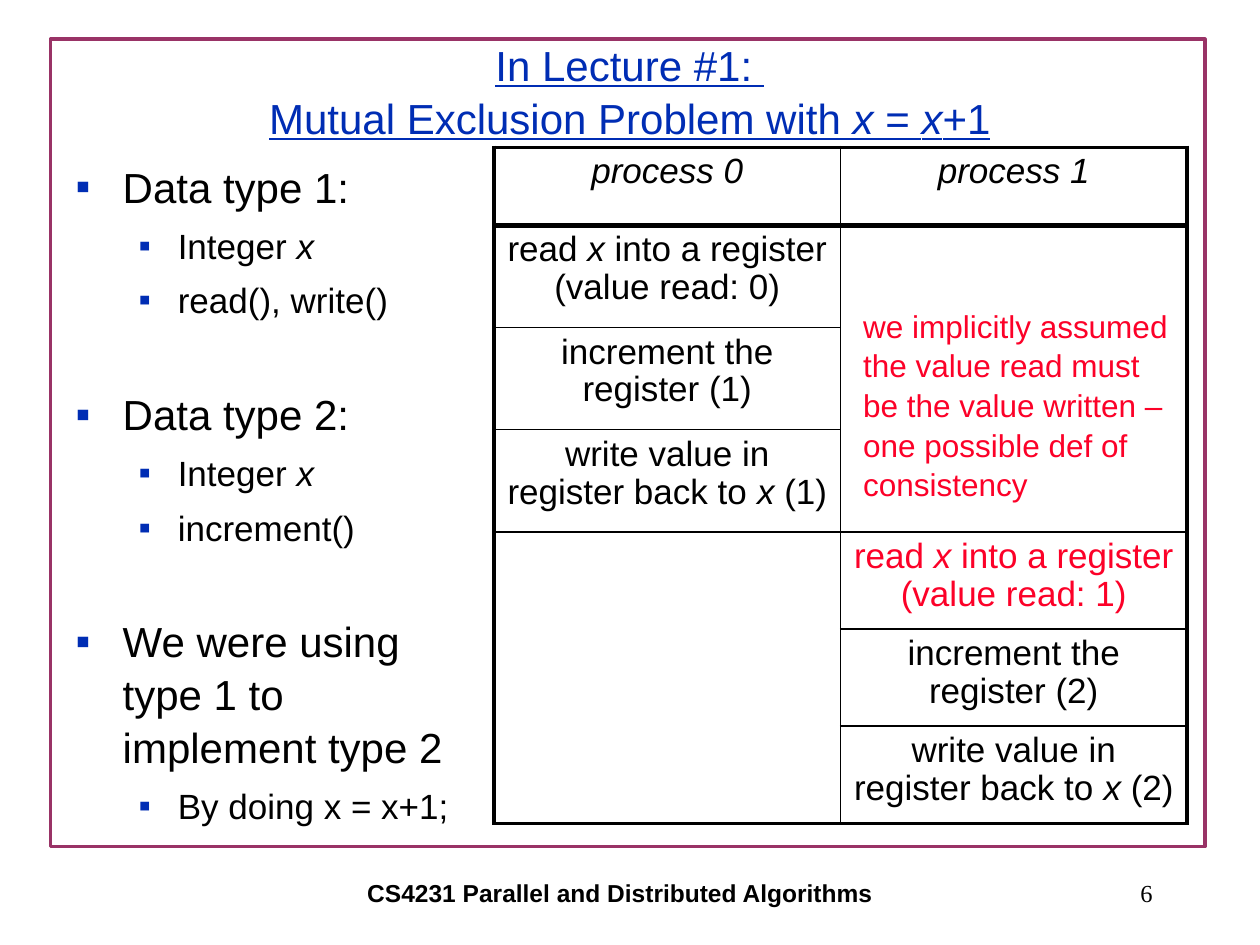
from dataclasses import dataclass

import pptx
import pptx.dml.color
import pptx.enum.shapes
import pptx.enum.text
import pptx.oxml
import pptx.oxml.ns
import pptx.util
from pptx.util import Cm, Pt

RGBColor = pptx.dml.color.RGBColor
Align = pptx.enum.text.PP_ALIGN
Anchor = pptx.enum.text.MSO_ANCHOR
AutoSize = pptx.enum.text.MSO_AUTO_SIZE

BLUE = RGBColor(0x00, 0x2D, 0xB4)
RED = RGBColor(0xFC, 0x01, 0x28)
PLUM = RGBColor(0x99, 0x33, 0x66)
BLACK = RGBColor(0x00, 0x00, 0x00)
NO_TABLE_STYLE = "{2D5ABB26-0587-4C30-8999-92F81FD0307C}"
LINE_SPACING = 1.05


@dataclass(frozen=True)
class TextStyle:
    size: float
    color: RGBColor = BLACK
    font: str = "Arial"
    bold: bool = False
    underline: bool = False


@dataclass(frozen=True)
class Bullet:
    """A list line; asterisks enclose italic text."""
    text: str
    level: int = 0
    space_before: float = 6


@dataclass(frozen=True)
class Block:
    """A table cell that covers the rows from first to last."""
    column: int
    first: int
    last: int
    text: str = ""
    color: RGBColor = BLACK


BULLETS = [
    Bullet("Data type 1:", space_before=0),
    Bullet("Integer *x*", 1),
    Bullet("read(), write()", 1),
    Bullet("Data type 2:", space_before=37.3),
    Bullet("Integer *x*", 1),
    Bullet("increment()", 1),
    Bullet("We were using type 1 to implement type 2", space_before=37.3),
    Bullet("By doing x = x+1;", 1),
]
BLOCKS = [
    Block(0, 0, 0, "*process 0*"),
    Block(1, 0, 0, "*process 1*"),
    Block(0, 1, 1, "read *x *into a register (value read: 0)"),
    Block(0, 2, 2, "increment the register (1)"),
    Block(0, 3, 3, "write value in register back to *x *(1)"),
    Block(1, 1, 3),
    Block(0, 4, 6),
    Block(1, 4, 4, "read *x *into a register (value read: 1)", RED),
    Block(1, 5, 5, "increment the register (2)"),
    Block(1, 6, 6, "write value in register back to *x *(2)"),
]
ROW_HEIGHTS = [1.57] + [2.06] * 3 + [1.96] * 3


def add_runs(paragraph, text: str, style: TextStyle) -> None:
    for index, part in enumerate(text.split("*")):
        if part:
            run = paragraph.add_run()
            run.text = part
            font = run.font
            font.name, font.size = style.font, Pt(style.size)
            font.color.rgb = style.color
            font.bold, font.underline = style.bold, style.underline
            font.italic = index % 2 == 1


def place(shape, left: float, top: float, width: float, height: float) -> None:
    shape.left, shape.top = Cm(left), Cm(top)
    shape.width, shape.height = Cm(width), Cm(height)


def add_label(slide, box: tuple[float, float, float, float], text: str,
              style: TextStyle, alignment: Align, anchor: Anchor,
              wrap: bool) -> None:
    frame = slide.shapes.add_textbox(*map(Cm, box)).text_frame
    frame.word_wrap = wrap
    frame.vertical_anchor = anchor
    paragraph = frame.paragraphs[0]
    paragraph.alignment = alignment
    paragraph.line_spacing = LINE_SPACING
    add_runs(paragraph, text, style)


def add_bullet(paragraph, bullet: Bullet) -> None:
    paragraph.level = bullet.level
    paragraph.line_spacing = LINE_SPACING
    paragraph.space_before = Pt(bullet.space_before)
    properties = paragraph._p.get_or_add_pPr()
    margin, hanging = ((0.95, 0.95), (2.06, 0.79))[bullet.level]
    properties.set("marL", str(Cm(margin)))
    properties.set("indent", str(-Cm(hanging)))
    namespace = pptx.oxml.ns.nsdecls("a")
    for xml in (
        f'<a:buClr {namespace}><a:srgbClr val="{BLUE}"/></a:buClr>',
        f'<a:buFont {namespace} typeface="Arial"/>',
        f'<a:buChar {namespace} char="▪"/>',
    ):
        properties.append(pptx.oxml.parse_xml(xml))
    add_runs(paragraph, bullet.text, TextStyle((24, 20)[bullet.level]))


def set_borders(cell, widths: dict[str, float]) -> None:
    properties = cell._tc.get_or_add_tcPr()
    for index, (side, width) in enumerate(widths.items()):
        properties.insert(index, pptx.oxml.parse_xml(
            f'<a:ln{side} {pptx.oxml.ns.nsdecls("a")} w="{Pt(width)}">'
            f'<a:solidFill><a:srgbClr val="{BLACK}"/></a:solidFill></a:ln{side}>'))


def draw_block(table, block: Block) -> None:
    final_row = len(ROW_HEIGHTS) - 1
    origin = table.cell(block.first, block.column)
    if block.last > block.first:
        origin.merge(table.cell(block.last, block.column))
    # Heavy outside edges, a heavier rule under the header, thin lines inside
    heavy_or_thin = {True: 2.25, False: 1}
    top = 3 if block.first == 1 else heavy_or_thin[block.first == 0]
    bottom = 3 if block.last == 0 else heavy_or_thin[block.last == final_row]
    for row in range(block.first, block.last + 1):
        cell = table.cell(row, block.column)
        cell.fill.background()
        widths = {"L": heavy_or_thin[block.column == 0],
                  "R": heavy_or_thin[block.column == 1]}
        if row == block.first:
            widths["T"] = top
        if row in (block.first, block.last):
            widths["B"] = bottom
        set_borders(cell, widths)
    paragraph = origin.text_frame.paragraphs[0]
    paragraph.alignment = Align.CENTER
    paragraph.line_spacing = 0.97
    add_runs(paragraph, block.text, TextStyle(20, block.color))


presentation = pptx.Presentation()
presentation.slide_width, presentation.slide_height = Cm(25.4), Cm(19.05)
slide = presentation.slides.add_slide(presentation.slide_layouts[1])

# Frame, behind everything else
border = slide.shapes.add_shape(
    pptx.enum.shapes.MSO_SHAPE.RECTANGLE, Cm(1.02), Cm(0.79), Cm(23.27), Cm(16.28))
border.shadow.inherit = False
border.fill.background()
border.line.color.rgb, border.line.width = PLUM, Pt(2)
slide.shapes._spTree.insert(2, border._element)

# Footer and page number
add_label(slide, (3.61, 17.35, 17.78, 1.27), "CS4231 Parallel and Distributed Algorithms",
          TextStyle(14, bold=True), Align.CENTER, Anchor.MIDDLE, False)
add_label(slide, (18.21, 17.35, 5.28, 1.27), "6",
          TextStyle(14, font="Times New Roman"), Align.RIGHT, Anchor.MIDDLE, False)

# Title
title = slide.shapes.title
place(title, 1.9, 0.64, 21.59, 2.34)
title.text_frame.auto_size = AutoSize.NONE
title.text_frame.vertical_anchor = Anchor.MIDDLE
heading = title.text_frame.paragraphs[0]
heading.alignment = Align.CENTER
heading.line_spacing = LINE_SPACING
title_style = TextStyle(24, BLUE, underline=True)
add_runs(heading, "In Lecture #1: ", title_style)
heading.add_line_break()
add_runs(heading, "Mutual Exclusion Problem with *x* = *x*+1", title_style)

# Bulleted list
body = slide.placeholders[1]
place(body, 1.27, 3.07, 8.46, 12.98)
body.text_frame.auto_size = AutoSize.NONE
for index, bullet in enumerate(BULLETS):
    add_bullet(body.text_frame.add_paragraph() if index
               else body.text_frame.paragraphs[0], bullet)

# Table of process steps
table_shape = slide.shapes.add_table(
    len(ROW_HEIGHTS), 2, Cm(9.96), Cm(2.97), Cm(13.97), Cm(sum(ROW_HEIGHTS)))
table = table_shape.table
table.first_row = table.horz_banding = False
table._tbl.tblPr.find(pptx.oxml.ns.qn("a:tableStyleId")).text = NO_TABLE_STYLE
for row, height in zip(table.rows, ROW_HEIGHTS):
    row.height = Cm(height)
for block in BLOCKS:
    draw_block(table, block)

# Remark over the merged cell
add_label(slide, (17.15, 6.02, 6.78, 4.06),
          "we implicitly assumed the value read must be the value written – "
          "one possible def of consistency",
          TextStyle(18, RED), Align.LEFT, Anchor.TOP, True)

presentation.save("out.pptx")
